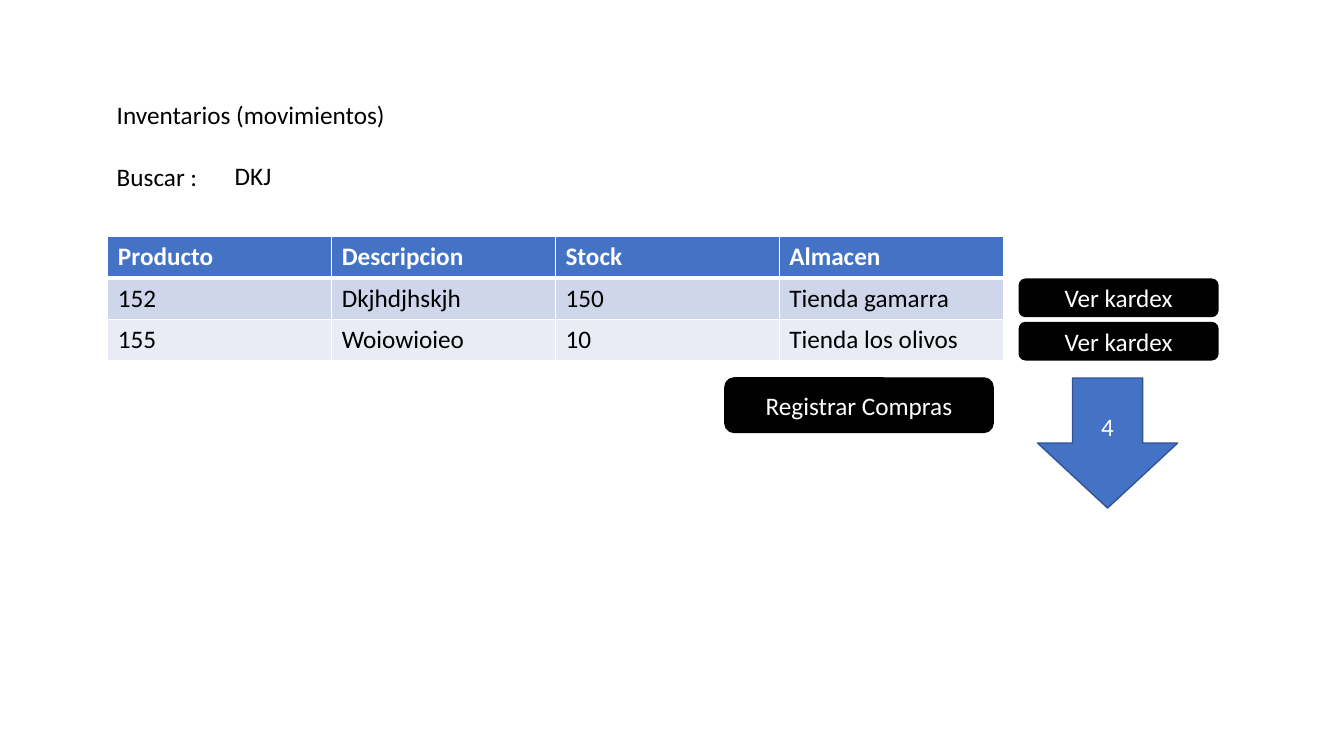
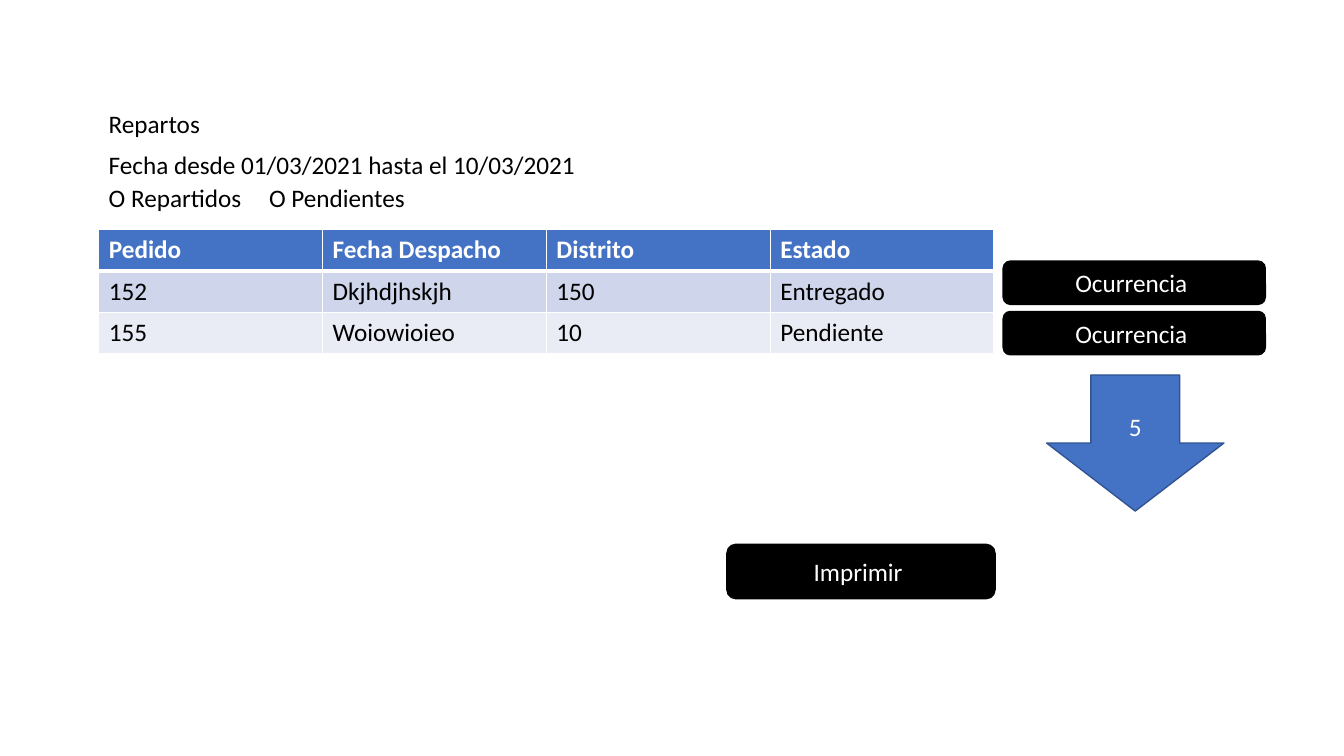
from lxml.etree import SubElement
from pptx import Presentation
from pptx.dml.color import RGBColor
from pptx.enum.shapes import MSO_SHAPE as Shape
from pptx.enum.text import MSO_ANCHOR as Anchor, PP_ALIGN as Align
from pptx.oxml.ns import qn
from pptx.util import Inches, Pt

FONT, TEXT_SIZE = "Calibri", 18
BLACK, WHITE = "000000", "FFFFFF"
BLUE, DARK_BLUE = "4472C4", "325491"
BAND_FILLS = ("CFD5EA", "E9EBF5")
COLUMN_WIDTH, ROW_HEIGHT, LABEL_HEIGHT = 2.22, 0.41, 0.4
ACTION_SIZE = (2.66, 0.54)

# Labels: text, left, top, width. Boxes: left, top, width, height.
SCREENS = [
    {
        "labels": [
            ("Inventarios (movimientos)", 1.06, 0.94, 6.67),
            ("Buscar :", 1.06, 1.55, 1.03),
            ("DKJ", 2.23, 1.54, 1.03),
        ],
        "table_at": (1.07, 2.35),
        "rows": [
            ("Producto", "Descripcion", "Stock", "Almacen"),
            ("152", "Dkjhdjhskjh", "150", "Tienda gamarra"),
            ("155", "Woiowioieo", "10", "Tienda los olivos"),
        ],
        "row_button": ("Ver kardex", (10.11, 2.77, 1.97, 0.37), 0.43),
        "action": ("Registrar Compras", (7.19, 3.75)),
        "step": ("4", (10.29, 3.75, 1.39, 1.29)),
    },
    {
        "labels": [
            ("Repartos", 0.98, 1.03, 6.67),
            ("Fecha desde 01/03/2021 hasta el 10/03/2021", 0.98, 1.43, 5.23),
            ("O Repartidos", 0.98, 1.76, 1.59),
            ("O Pendientes", 2.57, 1.76, 3.64),
        ],
        "table_at": (0.98, 2.28),
        "rows": [
            ("Pedido", "Fecha Despacho", "Distrito", "Estado"),
            ("152", "Dkjhdjhskjh", "150", "Entregado"),
            ("155", "Woiowioieo", "10", "Pendiente"),
        ],
        "row_button": ("Ocurrencia ", (9.95, 2.59, 2.6, 0.43), 0.5),
        "action": ("Imprimir ", (7.21, 5.4)),
        "step": ("5", (10.38, 3.72, 1.76, 1.35)),
    },
]


def rgb(value):
    return RGBColor.from_string(value)


def inches(lengths):
    return [Inches(length) for length in lengths]


def paint(target, color):
    target.fill.solid()
    target.fill.fore_color.rgb = rgb(color)


def write(frame, text, color, align=Align.LEFT, bold=False):
    paragraph = frame.paragraphs[0]
    paragraph.alignment = align
    run = paragraph.add_run()
    run.text = text
    font = run.font
    font.name, font.size, font.bold = FONT, Pt(TEXT_SIZE), bold
    font.color.rgb = rgb(color)


def add_label(slide, text, left, top, width):
    label = slide.shapes.add_textbox(*inches((left, top, width, LABEL_HEIGHT)))
    label.text_frame.word_wrap = True
    write(label.text_frame, text, BLACK)


def add_box(slide, kind, text, box, fill, outline):
    shape = slide.shapes.add_shape(kind, *inches(box))
    shape.shadow.inherit = False
    paint(shape, fill)
    shape.line.color.rgb = rgb(outline)
    shape.line.width = Pt(1)
    shape.text_frame.word_wrap = True
    shape.text_frame.vertical_anchor = Anchor.MIDDLE
    write(shape.text_frame, text, WHITE, Align.CENTER)


def add_button(slide, text, box):
    add_box(slide, Shape.ROUNDED_RECTANGLE, text, box, BLACK, BLACK)


def set_borders(cell, top, bottom):
    """Draw white cell borders; top and bottom are widths in points."""
    properties = cell._tc.get_or_add_tcPr()
    for side, width in (("L", 1), ("R", 1), ("T", top), ("B", bottom)):
        border = SubElement(properties, qn(f"a:ln{side}"), w=str(Pt(width)))
        fill = SubElement(border, qn("a:solidFill"))
        SubElement(fill, qn("a:srgbClr"), val=WHITE)


def add_listing(slide, rows, left, top):
    columns = len(rows[0])
    size = (COLUMN_WIDTH * columns, ROW_HEIGHT * len(rows))
    table = slide.shapes.add_table(
        len(rows), columns, *inches((left, top, *size))).table
    for column in table.columns:
        column.width = Inches(COLUMN_WIDTH)
    for r, row in enumerate(rows):
        table.rows[r].height = Inches(ROW_HEIGHT)
        header = r == 0
        for c, text in enumerate(row):
            cell = table.cell(r, c)
            set_borders(cell, 3 if r == 1 else 1, 3 if header else 1)
            paint(cell, BLUE if header else BAND_FILLS[(r - 1) % 2])
            write(cell.text_frame, text, WHITE if header else BLACK, bold=header)


def add_screen(deck, screen):
    slide = deck.slides.add_slide(deck.slide_layouts[6])
    for label in screen["labels"]:
        add_label(slide, *label)
    add_listing(slide, screen["rows"], *screen["table_at"])
    text, (left, top, width, height), pitch = screen["row_button"]
    for i in range(len(screen["rows"]) - 1):
        add_button(slide, text, (left, top + i * pitch, width, height))
    text, corner = screen["action"]
    add_button(slide, text, corner + ACTION_SIZE)
    add_box(slide, Shape.DOWN_ARROW, *screen["step"], BLUE, DARK_BLUE)


def main():
    deck = Presentation()
    deck.slide_width, deck.slide_height = inches((13.33, 7.5))
    for screen in SCREENS:
        add_screen(deck, screen)
    deck.save("out.pptx")


if __name__ == "__main__":
    main()
